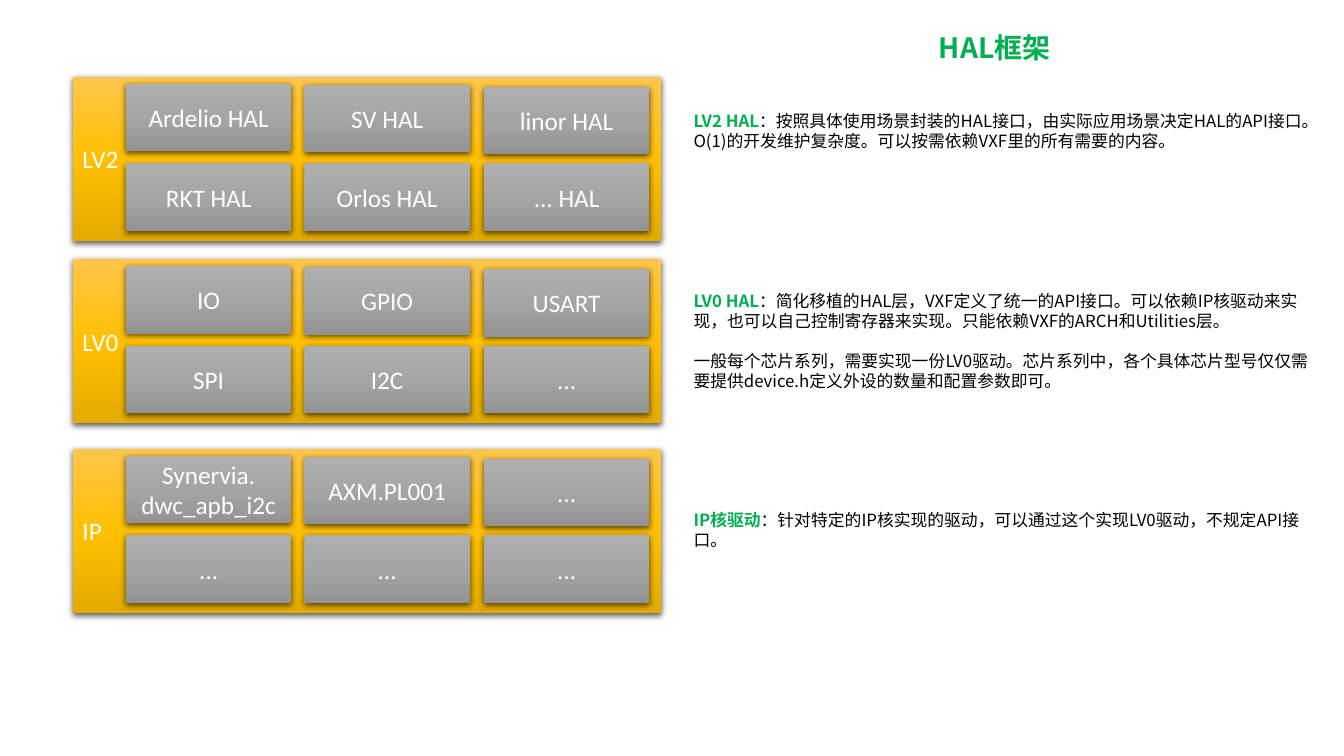
"""Build the HAL framework slide: three layer panels with notes beside them."""
from copy import deepcopy

from pptx import Presentation
from pptx import oxml
from pptx import util as u
from pptx.dml.color import RGBColor
from pptx.enum import shapes, text
from pptx.oxml import ns

PX = 9144
WHITE = RGBColor(255, 255, 255)
BLACK = RGBColor(0, 0, 0)
GREEN = RGBColor(0, 176, 80)
GOLD = [RGBColor(255, 198, 75), RGBColor(255, 192, 0), RGBColor(227, 171, 0)]
GREY = [RGBColor(175, 175, 175), RGBColor(165, 165, 165), RGBColor(147, 147, 147)]
LEFT, MID = text.PP_ALIGN.LEFT, text.PP_ALIGN.CENTER
NOTO = "Noto Sans CJK SC"
SHADE = (
    f'<a:outerShdw {ns.nsdecls("a")} blurRad="57150" dist="19050" dir="5400000" '
    'algn="ctr" rotWithShape="0"><a:srgbClr val="000000">'
    '<a:alpha val="63000"/></a:srgbClr></a:outerShdw>'
)

LABEL = {"name": "Calibri", "size": u.Pt(18)}
HEAD = {"name": NOTO, "size": u.Pt(20), "bold": True}
TERM = {"name": NOTO, "size": u.Pt(12), "bold": True}
BODY = {"name": NOTO, "size": u.Pt(12), "bold": False}

LAYERS = [
    ("LV2", 76, ["Ardelio HAL", "SV HAL", "linor HAL", "RKT HAL", "Orlos HAL", "... HAL"]),
    ("LV0", 257, ["IO", "GPIO", "USART", "SPI", "I2C", "..."]),
    ("IP", 445, ["Synervia.\ndwc_apb_i2c", "AXM.PL001", "...", "...", "...", "..."]),
]
NOTES = [
    (105, 50, "LV2 HAL", [
        "：按照具体使用场景封装的HAL接口，由实际应用场景决定HAL的API接口。"
        "O(1)的开发维护复杂度。可以按需依赖VXF里的所有需要的内容。"]),
    (283, 111, "LV0 HAL", [
        "：简化移植的HAL层，VXF定义了统一的API接口。可以依赖IP核驱动来实现，"
        "也可以自己控制寄存器来实现。只能依赖VXF的ARCH和Utilities层。",
        "一般每个芯片系列，需要实现一份LV0驱动。芯片系列中，"
        "各个具体芯片型号仅仅需要提供device.h定义外设的数量和配置参数即可。"]),
    (501, 50, "IP核驱动", [
        "：针对特定的IP核实现的驱动，可以通过这个实现LV0驱动，不规定API接口。"]),
]


def write(para, words, style, color):
    """Add a run in the given style."""
    run = para.add_run()
    run.text = words
    for key, val in style.items():
        setattr(run.font, key, val)
    run.font.color.rgb = color
    face = oxml.parse_xml(f'<a:ea {ns.nsdecls("a")} typeface="{style["name"]}"/>')
    run.font._element.append(face)


def block(x, y, w, h, tones, words, align):
    """Add a shaded rectangle with a label."""
    box = slide.shapes.add_shape(
        shapes.MSO_SHAPE.RECTANGLE, x * PX, y * PX, w * PX, h * PX)
    box.line.fill.background()
    box.fill.gradient()
    box.fill.gradient_angle = 270
    stops = box.element.spPr.find(ns.qn("a:gradFill")).find(ns.qn("a:gsLst"))
    stops.insert(1, deepcopy(stops[0]))
    for i, stop in enumerate(box.fill.gradient_stops):
        stop.position = i / 2
        stop.color.rgb = tones[i]
    box.shadow.inherit = False
    box.element.spPr.find(ns.qn("a:effectLst")).append(oxml.parse_xml(SHADE))
    frame = box.text_frame
    frame.vertical_anchor = text.MSO_ANCHOR.MIDDLE
    for i, line in enumerate(words.split("\n")):
        para = frame.add_paragraph() if i else frame.paragraphs[0]
        para.alignment = align
        write(para, line, LABEL, WHITE)


deck = Presentation()
deck.slide_width, deck.slide_height = 1333 * PX, 750 * PX
slide = deck.slides.add_slide(deck.slide_layouts[5])

title = slide.shapes.title
place = {"left": 671, "top": 25, "width": 631, "height": 44}
for key, val in place.items():
    setattr(title, key, val * PX)
frame = title.text_frame
form = {"word_wrap": True, "auto_size": text.MSO_AUTO_SIZE.NONE,
        "vertical_anchor": text.MSO_ANCHOR.TOP}
for key, val in form.items():
    setattr(frame, key, val)
para = frame.paragraphs[0]
para.alignment = MID
para.line_spacing = u.Pt(24.5)
write(para, "HAL框架", HEAD, GREEN)

for name, top, cells in LAYERS:
    block(72, top, 584, 163, GOLD, name, LEFT)
    for i, cell in enumerate(cells):
        row, col = divmod(i, 3)
        drop = 86 if row else 7 + 3 * col // 2
        block(125 + 355 * col // 2, top + drop, 164, 67, GREY, cell, MID)

for top, high, term, lines in NOTES:
    note = slide.shapes.add_textbox(678 * PX, top * PX, 631 * PX, high * PX)
    frame = note.text_frame
    frame.word_wrap = True
    for i, line in enumerate(lines):
        para = frame.add_paragraph() if i else frame.paragraphs[0]
        para.line_spacing = u.Pt(14.4)
        if i:
            para.space_before = u.Pt(14.4)
        else:
            write(para, term, TERM, GREEN)
        write(para, line, BODY, BLACK)

deck.save("out.pptx")
